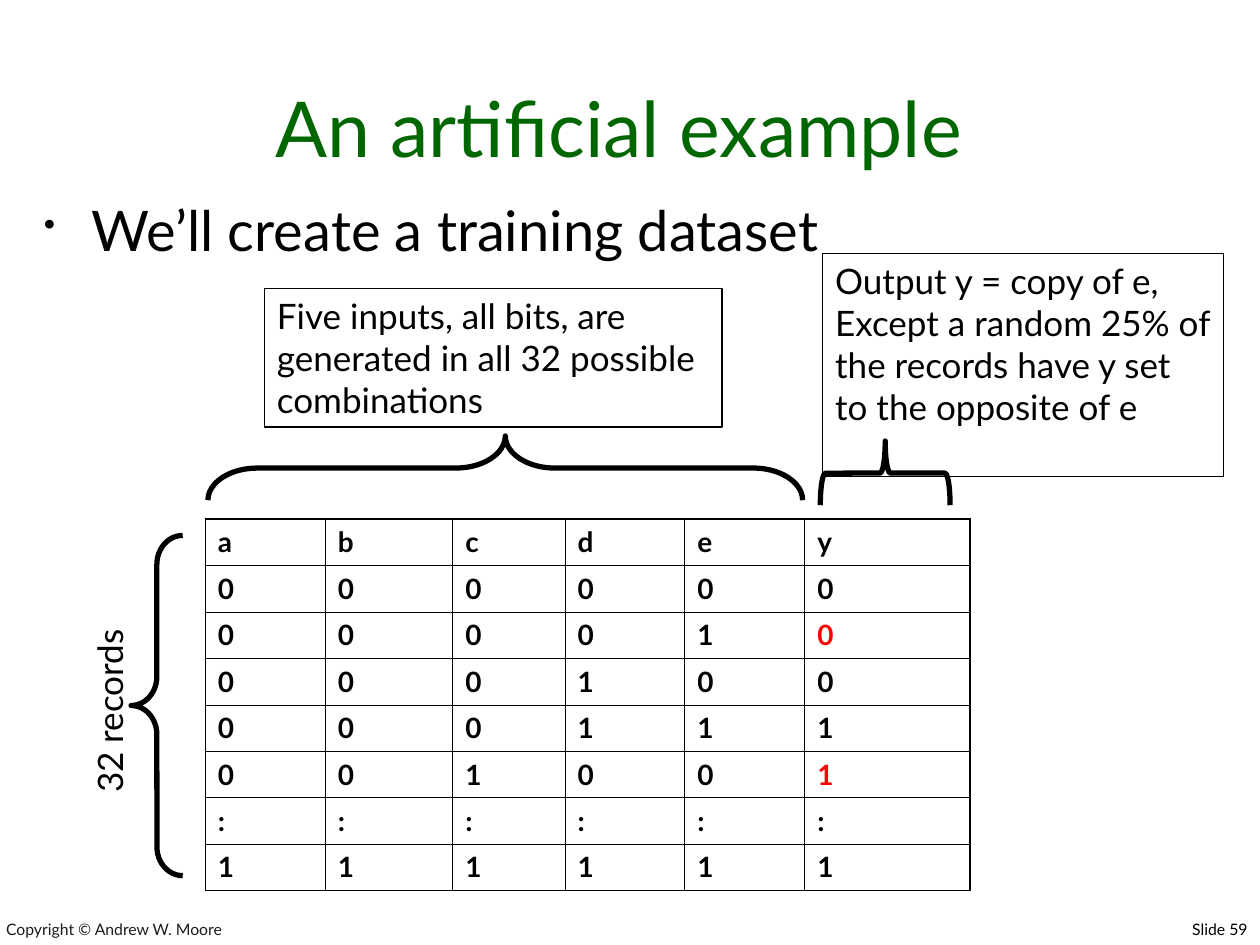
from collections import namedtuple

from lxml import etree
from pptx import Presentation
from pptx import util as u
from pptx.dml.color import RGBColor
from pptx.enum import shapes, text
from pptx.oxml.ns import qn

Box = namedtuple("Box", "left top width height")

COLUMNS, ROWS = 100, 75
UNIT = u.Inches(0.1)
FONT = "Lato"
COLORS = {"ink": "000000", "title": "006600", "flipped": "FF0000", "footer": "1C1C1C"}

RECORDS = ["abcdey", "000000", "000010", "000100", "000111", "001001", "::::::", "111111"]
FLIPPED_ROWS = (2, 5)
COLUMN_SHARES = (9.5, 10.1, 8.9, 9.5, 9.5, 13.1)


def rgb(name):
    """Return the named colour."""
    return RGBColor.from_string(COLORS[name])


def place(box):
    """Turn a box in grid units into slide lengths."""
    return [u.Emu(round(value * UNIT)) for value in box]


def write(frame, wording, size, color="ink", align=text.PP_ALIGN.LEFT,
          anchor=text.MSO_ANCHOR.TOP, bold=False, before=0):
    """Fill a text frame and format all its runs."""
    frame.text = wording
    frame.word_wrap = True
    frame.auto_size = text.MSO_AUTO_SIZE.NONE
    frame.vertical_anchor = anchor
    for para in frame.paragraphs:
        para.alignment = align
        para.space_before = u.Pt(before)
        for span in para.runs:
            span.font.name = FONT
            span.font.size = u.Pt(size)
            span.font.bold = bold
            span.font.color.rgb = rgb(color)


def add_label(page, box, wording, size, turn=0, **style):
    """Add a plain text box and return it."""
    label = page.shapes.add_textbox(*place(box))
    label.rotation = turn
    write(label.text_frame, wording, size, **style)
    return label


def add_title(page, box, wording):
    """Place and format the title placeholder."""
    title = page.shapes.title
    title.left, title.top, title.width, title.height = place(box)
    write(title.text_frame, wording, 44, color="title",
          align=text.PP_ALIGN.CENTER, anchor=text.MSO_ANCHOR.BOTTOM)


def add_bullet(page, box, wording):
    """Add a body line with a small hanging bullet."""
    label = add_label(page, box, wording, 32, before=8)
    properties = label.text_frame.paragraphs[0]._p.get_or_add_pPr()
    indent = u.Inches(0.38)
    properties.set("marL", str(indent))
    properties.set("indent", str(-indent))
    etree.SubElement(properties, qn("a:buSzPct")).set("val", "60000")
    etree.SubElement(properties, qn("a:buChar")).set("char", "•")


def add_outline(page, kind, box, weight):
    """Add an unfilled shape with a dark outline."""
    shape = page.shapes.add_shape(kind, *place(box))
    shape.shadow.inherit = False
    shape.fill.background()
    shape.line.color.rgb = rgb("ink")
    shape.line.width = u.Pt(weight)
    return shape


def add_note(page, box, wording):
    """Add a framed explanation."""
    note = add_outline(page, shapes.MSO_SHAPE.RECTANGLE, box, 0.75)
    write(note.text_frame, wording, 20)


def add_brace(page, box, curve, upward=False):
    """Add a brace filling the box, its tip pointing left or up."""
    if upward:
        shift = (box.width - box.height) / 2
        box = Box(box.left + shift, box.top - shift, box.height, box.width)
    brace = add_outline(page, shapes.MSO_SHAPE.LEFT_BRACE, box, 3)
    brace.adjustments[0] = curve
    brace.rotation = 90 if upward else 0


def set_borders(cell, outer_sides):
    """Draw thin cell borders, heavier on the outer sides of the table."""
    properties = cell._tc.get_or_add_tcPr()
    for side in "LRTB":
        weight = 1.08 if side in outer_sides else 0.45
        line = etree.SubElement(properties, qn(f"a:ln{side}"), w=str(u.Pt(weight)))
        fill = etree.SubElement(line, qn("a:solidFill"))
        etree.SubElement(fill, qn("a:srgbClr"), val=COLORS["ink"])


def add_records(page, box):
    """Add the table of training records."""
    last_row, last_column = len(RECORDS) - 1, len(COLUMN_SHARES) - 1
    table = page.shapes.add_table(last_row + 1, last_column + 1, *place(box)).table
    table.first_row = table.horz_banding = False
    for column, share in zip(table.columns, COLUMN_SHARES):
        column.width = round(box.width * share / sum(COLUMN_SHARES) * UNIT)
    for r, record in enumerate(RECORDS):
        table.rows[r].height = round(box.height / len(RECORDS) * UNIT)
        for c, value in enumerate(record):
            cell = table.cell(r, c)
            flipped = c == last_column and r in FLIPPED_ROWS
            write(cell.text_frame, value, 16, bold=True, before=4,
                  color="flipped" if flipped else "ink")
            edges = {"L": c == 0, "R": c == last_column, "T": r == 0, "B": r == last_row}
            set_borders(cell, [side for side, outer in edges.items() if outer])
            cell.fill.background()


def add_footer(page, box):
    """Add the copyright line and the slide number."""
    half = box.width / 2
    add_label(page, Box(box.left, box.top, half, box.height), "Copyright © Andrew W. Moore",
              9, color="footer", anchor=text.MSO_ANCHOR.BOTTOM)
    add_label(page, Box(box.left + half, box.top, half, box.height), "Slide 59",
              9, align=text.PP_ALIGN.RIGHT, anchor=text.MSO_ANCHOR.BOTTOM)


def build_example(page):
    """Lay out the artificial example."""
    add_footer(page, Box(-0.5, 72.2, COLUMNS + 0.5, 2.8))
    add_title(page, Box(2.5, 2.5, 93.3, 11.7), "An artificial example")
    add_bullet(page, Box(2.5, 15, 93.8, 55.8), "We’ll create a training dataset")
    add_records(page, Box(16.3, 41.2, 60.7, 29.5))
    add_brace(page, Box(16.5, 34.6, 47.2, 5.1), 0.77, upward=True)
    add_note(page, Box(21, 22.9, 36.3, 11),
             "Five inputs, all bits, are generated in all 32 possible combinations")
    add_brace(page, Box(65.1, 35, 10.3, 5.1), 0.08, upward=True)
    add_note(page, Box(65.3, 20.1, 31.8, 17.7),
             "Output y = copy of e,\n"
             "Except a random 25% of the records have y set to the opposite of e")
    add_label(page, Box(0.6, 53.6, 16.2, 4.4), "32 records", 20, turn=270)
    add_brace(page, Box(10.4, 42.5, 4.1, 27), 0.56)


def main():
    """Build and save the deck."""
    deck = Presentation()
    deck.slide_width, deck.slide_height = COLUMNS * UNIT, ROWS * UNIT
    build_example(deck.slides.add_slide(deck.slide_layouts[5]))
    deck.save("out.pptx")


if __name__ == "__main__":
    main()
